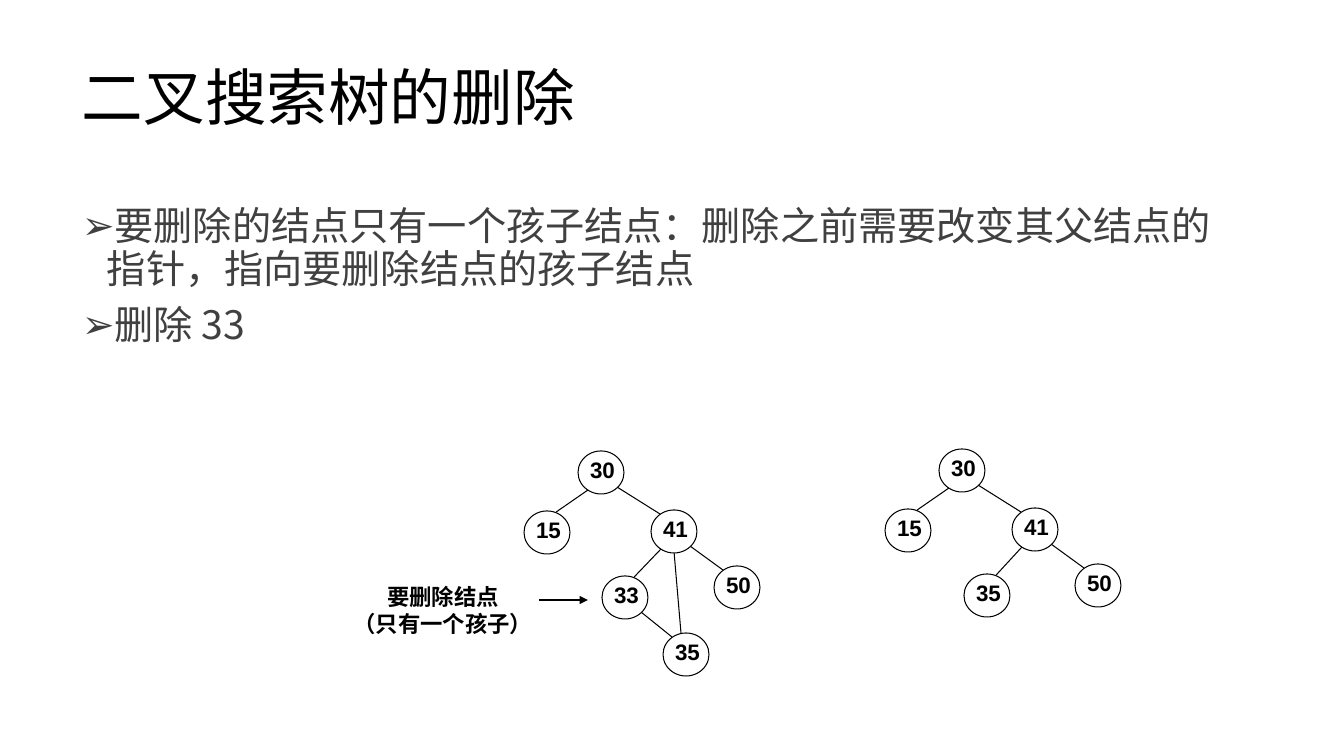
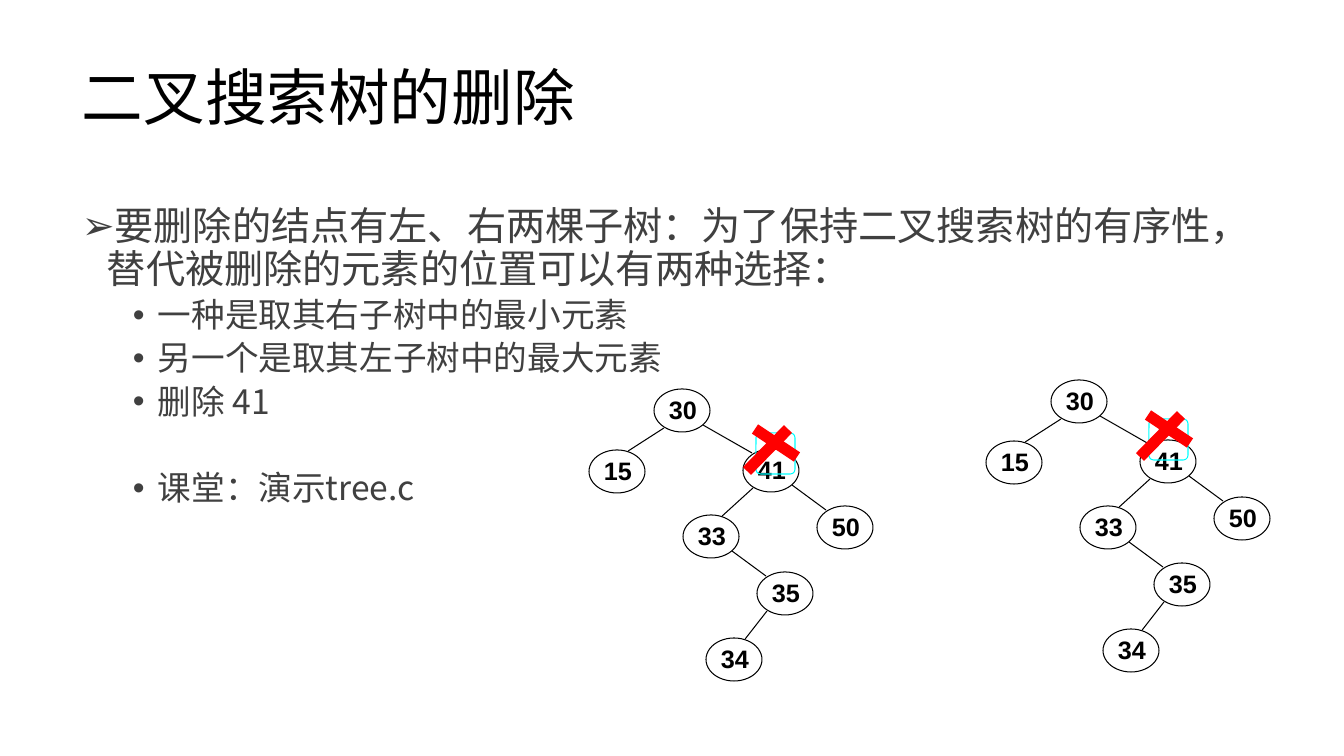
"""Build two slides on deleting nodes from a binary search tree."""
from lxml.etree import SubElement
from pptx import Presentation
from pptx.dml.color import RGBColor
from pptx.enum.shapes import MSO_CONNECTOR, MSO_SHAPE
from pptx.enum.text import MSO_ANCHOR, PP_ALIGN
from pptx.oxml.ns import qn
from pptx.util import Pt

STRAIGHT = MSO_CONNECTOR.STRAIGHT
OVAL, ROUNDED = MSO_SHAPE.OVAL, MSO_SHAPE.ROUNDED_RECTANGLE
TOP, MIDDLE = MSO_ANCHOR.TOP, MSO_ANCHOR.MIDDLE
LEFT, CENTER = PP_ALIGN.LEFT, PP_ALIGN.CENTER
BLACK = RGBColor(0, 0, 0)
WHITE = RGBColor(255, 255, 255)
GRAY = RGBColor(0x40, 0x40, 0x40)
RED = RGBColor(255, 0, 0)
CYAN = RGBColor(0, 255, 255)
CJK = "Noto Sans CJK SC"
SCALE = 914400 / 100.8
NODE_HEIGHT = 43

TITLE = dict(font="Arial", size=44, color=BLACK, bold=False,
             paragraph=dict(line_spacing=0.9, alignment=LEFT))
POINT = dict(font=CJK, size=28, color=GRAY, bold=False, bullet="➢", indent=25,
             paragraph=dict(line_spacing=0.9, space_before=Pt(10)))
SUBPOINT = dict(POINT, size=24, bullet="•", indent=76,
                paragraph=dict(line_spacing=0.9, space_before=Pt(5)))
LAST_SUBPOINT = dict(SUBPOINT, paragraph=dict(line_spacing=0.9, space_before=Pt(36)))
CALLOUT = dict(font=CJK, size=16, color=BLACK, bold=True, paragraph=dict(alignment=CENTER))
LABEL = dict(CALLOUT, font="Arial", paragraph=dict(alignment=CENTER, line_spacing=0.96))


def add_text(page, area, lines, inset=0, anchor=TOP):
    box = page.shapes.add_textbox(*[round(v * SCALE) for v in area])
    frame = box.text_frame
    margins = dict(margin_left=inset, margin_right=inset,
                   margin_top=inset / 2, margin_bottom=inset / 2)
    for name, value in margins.items():
        setattr(frame, name, round(value * SCALE))
    frame.word_wrap = True
    frame.vertical_anchor = anchor
    for index, (text, style) in enumerate(lines):
        para = frame.paragraphs[0] if index == 0 else frame.add_paragraph()
        for name, value in style["paragraph"].items():
            setattr(para, name, value)
        if "bullet" in style:
            props = para._p.get_or_add_pPr()
            for name, value in dict(marL=style["indent"], indent=-25).items():
                props.set(name, str(round(value * SCALE)))
            props.set("hangingPunct", "1")
            SubElement(props, qn("a:buFont")).set("typeface", "Arial")
            SubElement(props, qn("a:buChar")).set("char", style["bullet"])
        span = para.add_run()
        span.text = text
        for name, value in dict(name=style["font"], size=Pt(style["size"]),
                                bold=style["bold"]).items():
            setattr(span.font, name, value)
        span.font.color.rgb = style["color"]
        SubElement(span._r.get_or_add_rPr(), qn("a:ea")).set("typeface", CJK)


def add_line(page, start, end, color=BLACK, width=0.75, arrow=False):
    line = page.shapes.add_connector(STRAIGHT, *[round(v * SCALE) for v in (*start, *end)])
    line.line.color.rgb = color
    line.line.width = Pt(width)
    if arrow:
        SubElement(line.line._get_or_add_ln(), qn("a:tailEnd")).set("type", "triangle")
    SubElement(line._element.spPr, qn("a:effectLst"))


small = {"30": (0, 0), "15": (-54, 60), "41": (73, 59), "50": (136, 115)}
large = {"30": (0, 0), "15": (-65, 61), "41": (89, 60), "50": (163, 117),
         "33": (29, 126), "35": (103, 183), "34": (52, 249)}
base_edges = [("30", "15", "left"), ("30", "41", "right"), ("41", "50", "right")]
chain_edges = base_edges + [("41", "33", "left"), ("33", "35", "right")]
large_edges = chain_edges + [("35", "34", "left")]

slides = [
    dict(lines=[("要删除的结点只有一个孩子结点：删除之前需要改变其父结点的指针，指向要删除结点的孩子结点", POINT),
                ("删除 33", POINT)],
         node_width=46, label_width=25, label_offset=12, label_size=16,
         trees=[((578, 451), dict(small, **{"33": (24, 125), "35": (85, 182)}),
                 chain_edges + [("41", "35", "down")]),
                ((939, 449), dict(small, **{"35": (25, 125)}),
                 base_edges + [("41", "35", "left")])],
         callout=True, crosses=[]),
    dict(lines=[("要删除的结点有左、右两棵子树：为了保持二叉搜索树的有序性，替代被删除的元素的位置可以有两种选择：", POINT),
                ("一种是取其右子树中的最小元素", SUBPOINT),
                ("另一个是取其左子树中的最大元素", SUBPOINT),
                ("删除 41", SUBPOINT),
                ("课堂：演示tree.c", LAST_SUBPOINT)],
         node_width=56, label_width=30, label_offset=14, label_size=18,
         trees=[((654, 389), large, large_edges), ((1051, 380), large, large_edges)],
         callout=False, crosses=[(756, 433), (1149, 419)]),
]

deck = Presentation()
deck.slide_width = round(1344 * SCALE)
deck.slide_height = round(756 * SCALE)

for content in slides:
    page = deck.slides.add_slide(deck.slide_layouts[6])
    add_text(page, (72, 28, 1159, 146), [("二叉搜索树的删除", TITLE)], 10, MIDDLE)
    add_text(page, (72, 202, 1159, 480), content["lines"], 10)

    width = content["node_width"]
    ports = {"left": ((10, 39), (width * 0.7, 1)),
             "right": ((width - 7, 36), (9, 4)),
             "down": ((width / 2, 41), (18, 0))}
    label = dict(LABEL, size=content["label_size"])
    for (left, top), nodes, edges in content["trees"]:
        for parent, child, side in edges:
            ends = [(left + nodes[key][0] + dx, top + nodes[key][1] + dy)
                    for key, (dx, dy) in zip((parent, child), ports[side])]
            add_line(page, *ends)
        for key, (dx, dy) in nodes.items():
            x, y = left + dx, top + dy
            node = page.shapes.add_shape(
                OVAL, *[round(v * SCALE) for v in (x, y, width, NODE_HEIGHT)])
            node.shadow.inherit = False
            node.fill.solid()
            node.fill.fore_color.rgb = WHITE
            node.line.color.rgb = BLACK
            node.line.width = Pt(0.75)
            add_text(page, (x + content["label_offset"], y + 7, content["label_width"], 25),
                     [(key, label)])

    if content["callout"]:
        add_text(page, (350, 583, 186, 48),
                 [("要删除结点", CALLOUT), ("（只有一个孩子）", dict(CALLOUT, font="Arial"))])
        add_line(page, (539, 600), (588, 600), arrow=True)

    for x, y in content["crosses"]:
        frame = page.shapes.add_shape(ROUNDED, *[round(v * SCALE) for v in (x, y, 39, 41)])
        frame.shadow.inherit = False
        frame.adjustments[0] = 0.12
        frame.fill.background()
        frame.line.color.rgb = CYAN
        frame.line.width = Pt(0.75)
        add_line(page, (x - 1, y - 4), (x + 41, y + 24), RED, 8)
        add_line(page, (x - 9, y + 38), (x + 32, y - 4), RED, 8)

deck.save("out.pptx")
